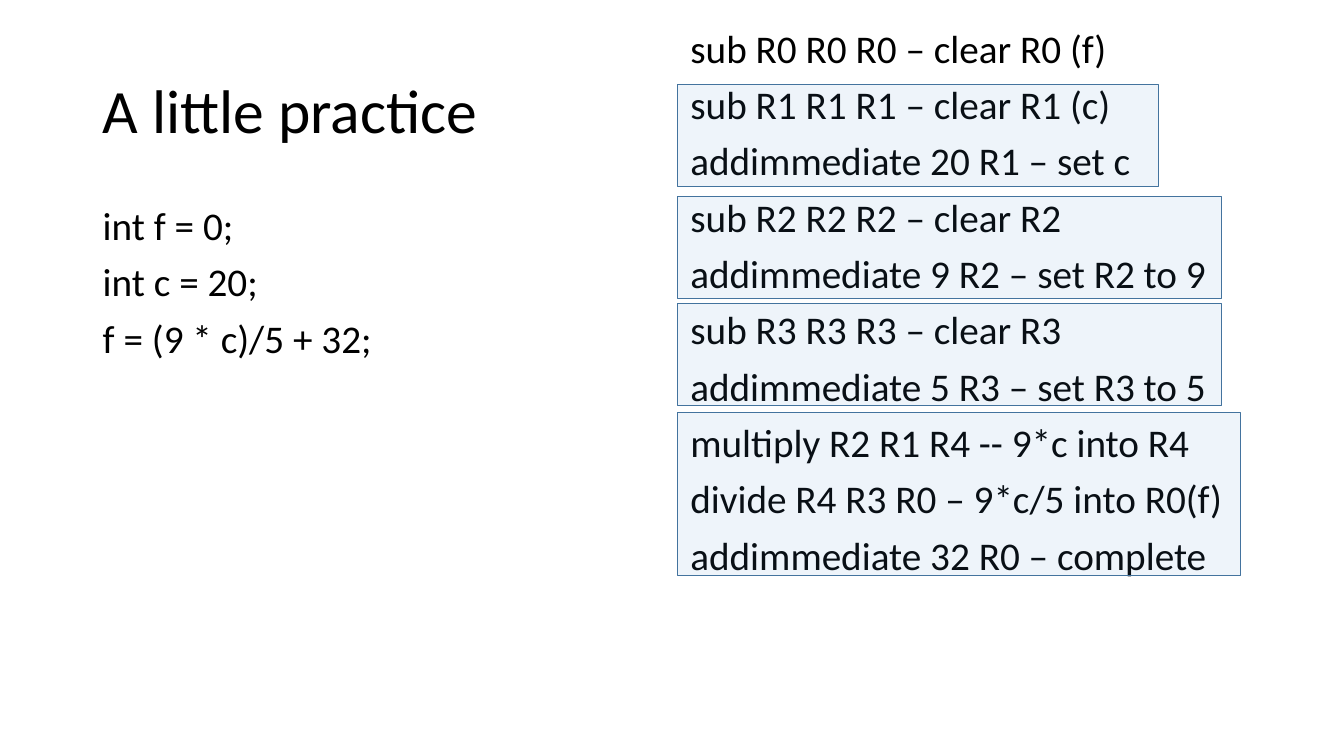
from lxml import etree
from pptx import Presentation
from pptx import util as u
from pptx.dml.color import RGBColor
from pptx.enum import shapes, text
from pptx.oxml.ns import qn

SOURCE_CODE = ["int f = 0;", "int c = 20;", "f = (9 * c)/5 + 32;"]
INSTRUCTIONS = [
    "sub R0 R0 R0 – clear R0 (f)",
    "sub R1 R1 R1 – clear R1 (c)",
    "addimmediate 20 R1 – set c",
    "sub R2 R2 R2 – clear R2",
    "addimmediate 9 R2 – set R2 to 9",
    "sub R3 R3 R3 – clear R3",
    "addimmediate 5 R3 – set R3 to 5",
    "multiply R2 R1 R4 -- 9*c into R4",
    "divide R4 R3 R0 – 9*c/5 into R0(f)",
    "addimmediate 32 R0 – complete",
]
# Top, width and height of each group of instructions, in cm
GROUPS = [
    (2.13, 12.12, 2.57),
    (4.95, 13.72, 2.57),
    (7.65, 13.72, 2.57),
    (10.39, 14.2, 4.11),
]
GROUP_LEFT = 17.07


def colour(value):
    return RGBColor.from_string(value)


def format_paragraph(para, size):
    para.alignment = text.PP_ALIGN.LEFT
    para.line_spacing = 0.9
    para.font.name = "Calibri"
    para.font.size = u.Pt(size)
    para.font.color.rgb = colour("000000")


def set_title(page, wording):
    title = page.shapes.title
    title.left, title.top = u.Cm(2.34), u.Cm(1.02)
    title.width, title.height = u.Cm(29.21), u.Cm(3.68)
    frame = title.text_frame
    frame.text = wording
    frame.auto_size = text.MSO_AUTO_SIZE.NONE
    frame.vertical_anchor = text.MSO_ANCHOR.MIDDLE
    format_paragraph(frame.paragraphs[0], 44)


def add_code(page, lines, left, top, width, height):
    box = page.shapes.add_textbox(u.Cm(left), u.Cm(top), u.Cm(width), u.Cm(height))
    frame = box.text_frame
    frame.word_wrap = True
    frame.text = "\n".join(lines)
    for para in frame.paragraphs:
        format_paragraph(para, 28)
        para.space_before = u.Pt(10)


def add_highlight(page, top, width, height):
    box = page.shapes.add_shape(
        shapes.MSO_SHAPE.RECTANGLE,
        u.Cm(GROUP_LEFT), u.Cm(top), u.Cm(width), u.Cm(height))
    box.shadow.inherit = False
    box.fill.solid()
    box.fill.fore_color.rgb = colour("5B9BD5")
    box.line.color.rgb = colour("43739E")
    box.line.width = u.Pt(1)
    # 10 % opacity keeps the code below readable
    fill = box.fill._xPr.find(qn("a:solidFill"))
    etree.SubElement(fill[0], qn("a:alpha"), val="10000")


def main():
    deck = Presentation()
    deck.slide_width, deck.slide_height = u.Cm(33.87), u.Cm(19.05)
    page = deck.slides.add_slide(deck.slide_layouts.get_by_name("Title Only"))

    # Title and the two columns of code
    set_title(page, "A little practice")
    add_code(page, SOURCE_CODE, 2.34, 5.08, 14.4, 12.09)
    add_code(page, INSTRUCTIONS, 17.15, 0.61, 14.4, 18.03)

    # Highlighted instruction groups
    for top, width, height in GROUPS:
        add_highlight(page, top, width, height)

    deck.save("out.pptx")


if __name__ == "__main__":
    main()
